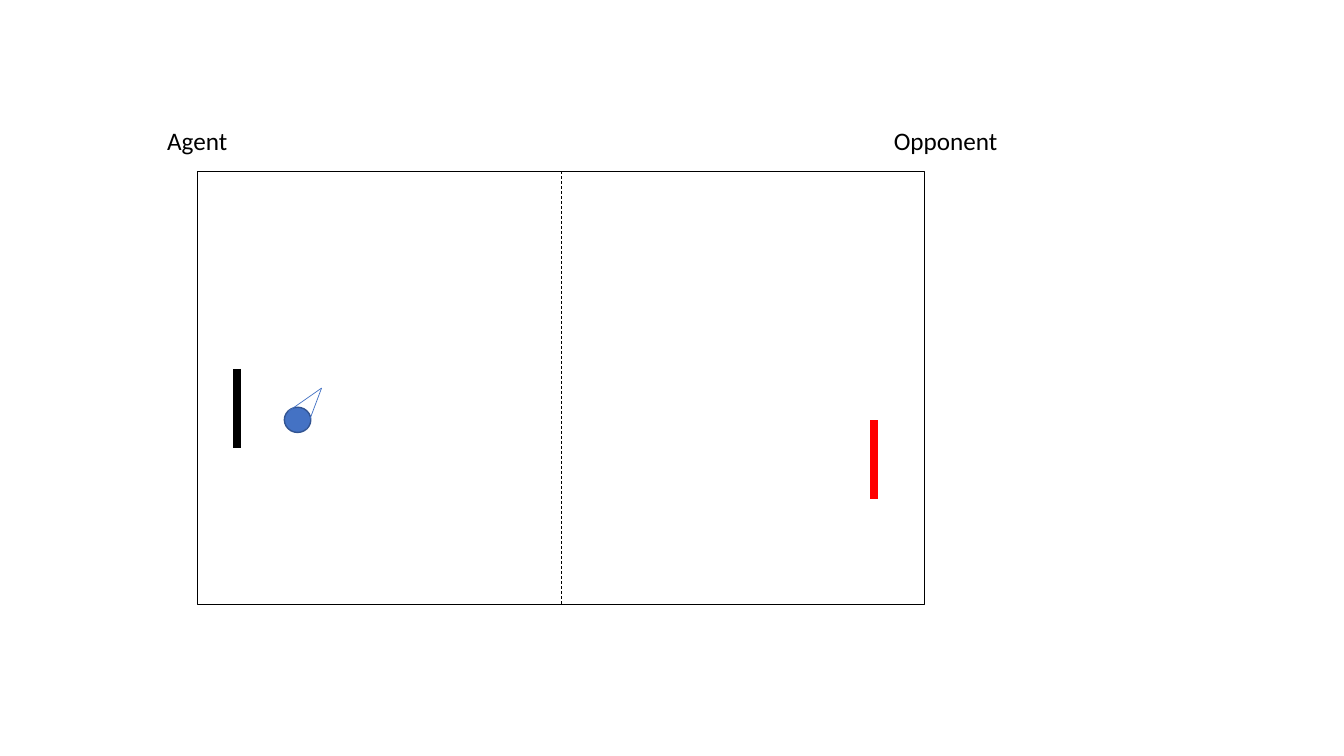
from lxml import etree
from pptx import Presentation
from pptx.dml.color import RGBColor
from pptx.enum.dml import MSO_LINE
from pptx.enum.shapes import MSO_CONNECTOR, MSO_SHAPE
from pptx.enum.text import MSO_AUTO_SIZE
from pptx.oxml.ns import qn
from pptx.util import Pt

STRAIGHT = MSO_CONNECTOR.STRAIGHT
RECTANGLE = MSO_SHAPE.RECTANGLE
OVAL = MSO_SHAPE.OVAL
DASH = MSO_LINE.DASH
GROW = MSO_AUTO_SIZE.SHAPE_TO_FIT_TEXT

BLACK = "000000"
RED = "FF0000"
BLUE = "4472C4"
DARK_BLUE = "325491"


def color(hex_string):
    return RGBColor.from_string(hex_string)


def add_line(slide, start, end, line_color, width, dash=None):
    connector = slide.shapes.add_connector(
        STRAIGHT, Pt(start[0]), Pt(start[1]), Pt(end[0]), Pt(end[1]))
    connector.line.color.rgb = color(line_color)
    connector.line.width = Pt(width)
    if dash:
        connector.line.dash_style = dash
    etree.SubElement(connector._element.spPr, qn("a:effectLst"))


def add_outlined_shape(slide, kind, box, line_color, fill_color=None):
    shape = slide.shapes.add_shape(kind, *(Pt(length) for length in box))
    shape.shadow.inherit = False
    if fill_color:
        shape.fill.solid()
        shape.fill.fore_color.rgb = color(fill_color)
    else:
        shape.fill.background()
    shape.line.color.rgb = color(line_color)
    shape.line.width = Pt(1)


def add_paddle(slide, x, top, paddle_color):
    add_line(slide, (x, top), (x, top + 56.2), paddle_color, 6)


def add_court(slide, left, top, width, height):
    add_paddle(slide, left + 28.1, top + 141.1, BLACK)
    add_paddle(slide, left + width - 36, top + 177.8, RED)
    add_outlined_shape(slide, RECTANGLE, (left, top, width, height), BLACK)
    middle = left + width / 2
    add_line(slide, (middle, top), (middle, top + height), BLACK, 0.5, DASH)


def add_ball(slide, left, top, width, height):
    add_outlined_shape(slide, OVAL, (left, top, width, height), DARK_BLUE, BLUE)
    tip = (left + 26.6, top - 13.7)
    for start in ((left + 2.9, top + 2.9), (left + 15.8, top + 15.1)):
        add_line(slide, start, tip, BLUE, 0.5)


def add_player_label(slide, left, top, width, height, name):
    text_box = slide.shapes.add_textbox(Pt(left), Pt(top), Pt(width), Pt(height))
    frame = text_box.text_frame
    frame.word_wrap = False
    frame.auto_size = GROW
    run = frame.paragraphs[0].add_run()
    run.text = name
    run.font.name = "Calibri"
    run.font.size = Pt(18)
    run.font.color.rgb = color(BLACK)


def main():
    presentation = Presentation()
    presentation.slide_width = Pt(960)
    presentation.slide_height = Pt(540)
    slide = presentation.slides.add_slide(presentation.slide_layouts[6])

    left, top, width, height = 141.1, 122.4, 519.1, 309.6
    add_court(slide, left, top, width, height)
    add_ball(slide, left + 62, top + 168.5, 18.9, 18)
    for edge, label_width, name in ((left, 58.3, "Agent"),
                                    (left + width, 89.3, "Opponent")):
        add_player_label(slide, edge - 28.8, top - 36.7, label_width, 28.8, name)

    presentation.save("out.pptx")


if __name__ == "__main__":
    main()
